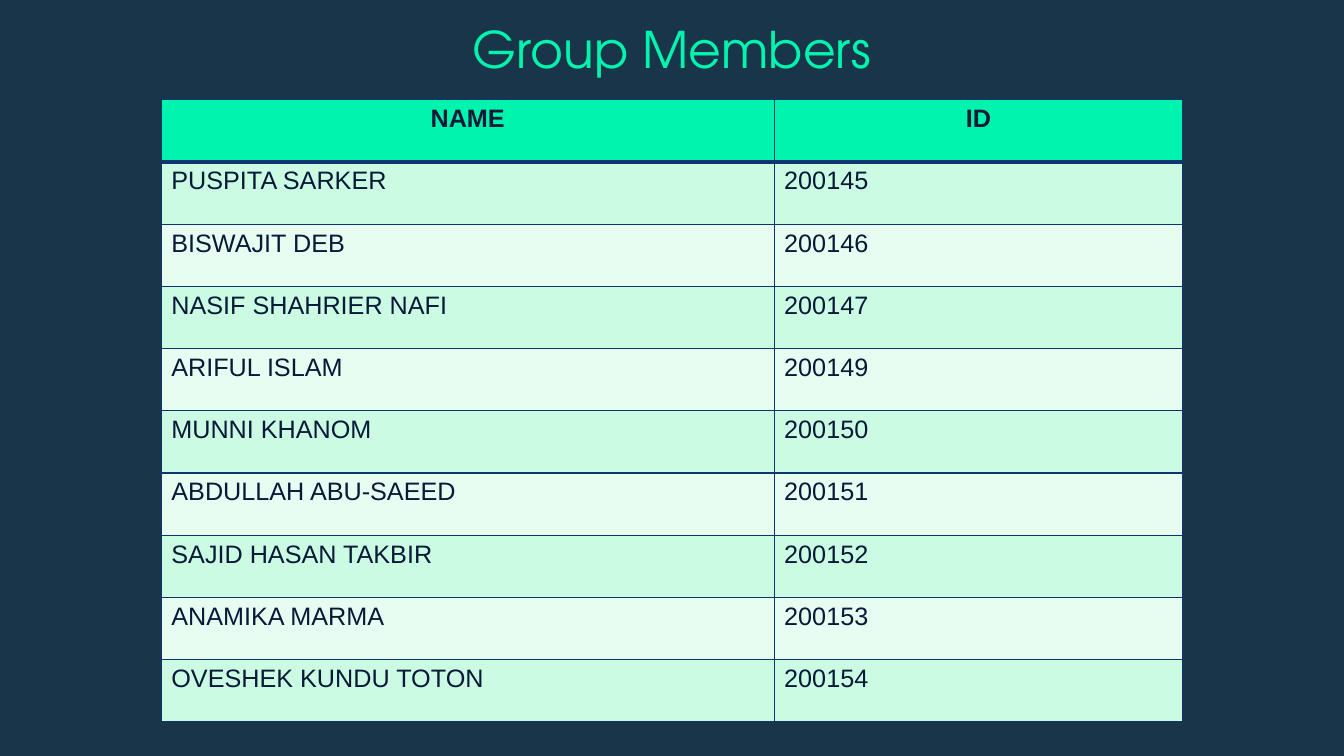
import pptx
import pptx.util
import pptx.dml.color
import pptx.enum.text
import pptx.oxml
import pptx.oxml.ns

Inches = pptx.util.Inches
Pt = pptx.util.Pt
ALIGN = pptx.enum.text.PP_ALIGN

COLORS = {
    "back": "193549",
    "mint": "00F4AD",
    "ink": "081A38",
    "line": "0F3570",
    "odd": "CCFBE3",
    "even": "E7FDF1",
}
HEADS = ("NAME", "ID")
PEOPLE = [
    ("PUSPITA SARKER", "200145"),
    ("BISWAJIT DEB", "200146"),
    ("NASIF SHAHRIER NAFI", "200147"),
    ("ARIFUL ISLAM", "200149"),
    ("MUNNI KHANOM", "200150"),
    ("ABDULLAH ABU-SAEED", "200151"),
    ("SAJID HASAN TAKBIR", "200152"),
    ("ANAMIKA MARMA", "200153"),
    ("OVESHEK KUNDU TOTON", "200154"),
]


def color(name):
    return pptx.dml.color.RGBColor.from_string(COLORS[name])


def style(para, face, size, ink, align, bold=False):
    para.alignment = align
    para.font.name = face
    para.font.size = Pt(size)
    para.font.bold = bold
    para.font.color.rgb = color(ink)


def border(cell, top, bottom):
    """Draw the four cell borders; top and bottom widths are in points."""
    props = cell._tc.get_or_add_tcPr()
    sides = (("L", 1), ("R", 1), ("T", top), ("B", bottom))
    for spot, (side, width) in enumerate(sides):
        props.insert(spot, pptx.oxml.parse_xml(
            f'<a:ln{side} {pptx.oxml.ns.nsdecls("a")} w="{Pt(width)}">'
            f'<a:solidFill><a:srgbClr val="{COLORS["line"]}"/></a:solidFill>'
            f'</a:ln{side}>'))


def add_title(slide, left, top, width, height):
    box = slide.shapes.add_textbox(
        Inches(left), Inches(top), Inches(width), Inches(height))
    frame = box.text_frame
    frame.word_wrap = True
    frame.vertical_anchor = pptx.enum.text.MSO_ANCHOR.MIDDLE
    frame.margin_left = frame.margin_right = 0
    frame.margin_top = frame.margin_bottom = 0
    frame.text = "Group Members"
    style(frame.paragraphs[0], "TeX Gyre Adventor", 36, "mint", ALIGN.CENTER)


def add_members(slide, left, top, width, height):
    rows = [HEADS] + PEOPLE
    table = slide.shapes.add_table(
        len(rows), len(HEADS), Inches(left), Inches(top),
        Inches(width), Inches(height)).table
    for column, share in zip(table.columns, (0.6, 0.4)):
        column.width = Inches(width * share)

    for r, row in enumerate(rows):
        head = r == 0
        fill = "mint" if head else "odd" if r % 2 else "even"
        for c, text in enumerate(row):
            cell = table.cell(r, c)
            cell.text = text
            cell.fill.solid()
            cell.fill.fore_color.rgb = color(fill)
            style(cell.text_frame.paragraphs[0], "Arial", 18, "ink",
                  ALIGN.CENTER if head else ALIGN.LEFT, head)
            # A thick rule parts the header from the members
            border(cell, 3 if r == 1 else 1, 3 if head else 1)


def main():
    deck = pptx.Presentation()
    deck.slide_width = Inches(13.33)
    deck.slide_height = Inches(7.5)
    slide = deck.slides.add_slide(deck.slide_layouts[6])
    slide.background.fill.solid()
    slide.background.fill.fore_color.rgb = color("back")
    add_title(slide, 1.05, 0.12, 11.23, 0.71)
    add_members(slide, 1.6, 0.99, 10.13, 6.17)
    deck.save("out.pptx")


if __name__ == "__main__":
    main()
